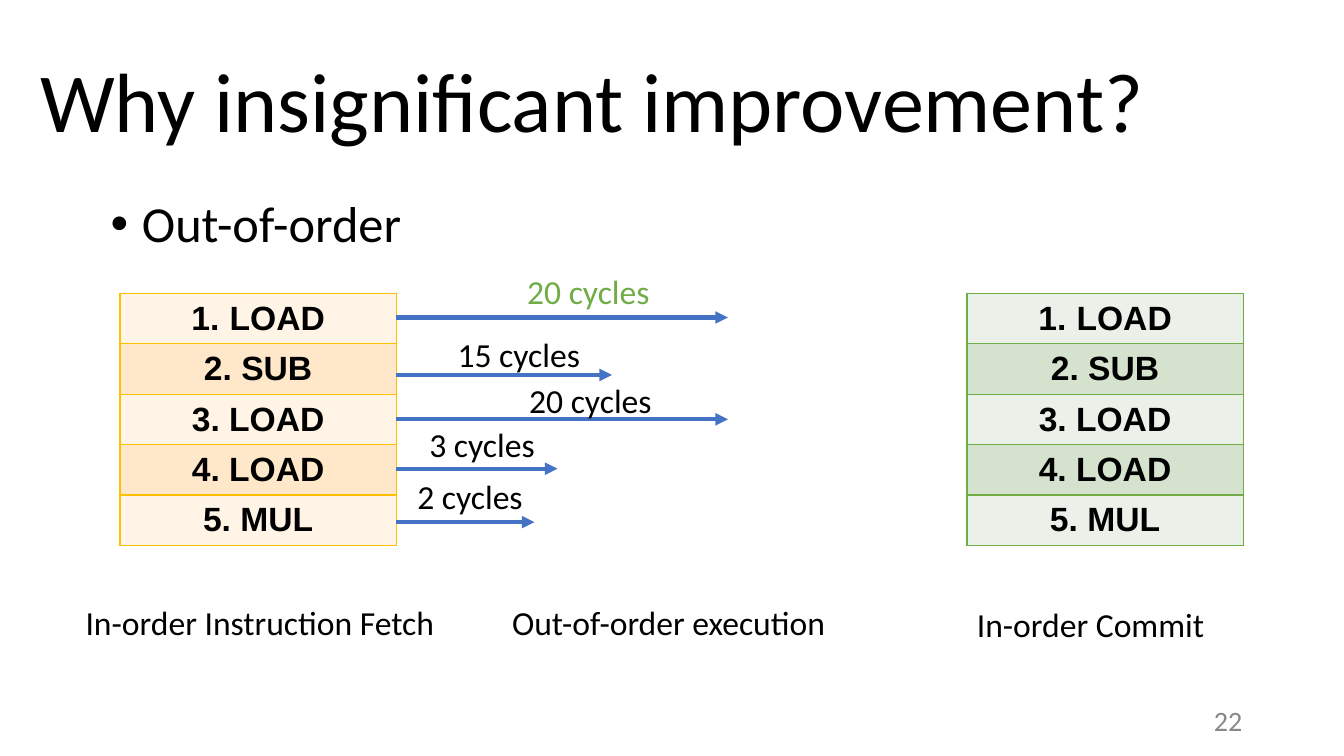
import pptx
import pptx.dml.color
import pptx.enum.shapes
import pptx.enum.text
import pptx.oxml
import pptx.oxml.ns
import pptx.util
from lxml import etree

RGBColor = pptx.dml.color.RGBColor
Inches = pptx.util.Inches
ALIGN = pptx.enum.text.PP_ALIGN
ANCHOR = pptx.enum.text.MSO_ANCHOR

BLACK = RGBColor(0x00, 0x00, 0x00)
GRAY = RGBColor(0x88, 0x88, 0x88)
BLUE = RGBColor(0x44, 0x72, 0xC4)
GREEN = RGBColor(0x70, 0xAD, 0x47)
AMBER = RGBColor(0xFF, 0xC0, 0x00)
CREAM = RGBColor(0xFF, 0xF4, 0xE6)
PEACH = RGBColor(0xFF, 0xE8, 0xCA)
MINT = RGBColor(0xEB, 0xF1, 0xE8)
SAGE = RGBColor(0xD4, 0xE2, 0xCE)

TITLE = "Why insignificant improvement?"
TOPIC = "Out-of-order"
PAGE = "22"
INSTRUCTIONS = ["LOAD", "2. SUB", "3. LOAD", "4. LOAD", "5. MUL"]
STAGES = [
    ("In-order Instruction Fetch", 0.75, 5.92, 4.05),
    ("Out-of-order execution", 4.98, 5.92, 4.05),
    ("In-order Commit", 9.59, 5.94, 2.74),
]
EXECUTIONS = [
    ("20 cycles", GREEN, 5.13, 2.64, 3.15, 7.22),
    ("15 cycles", BLACK, 4.44, 3.26, 3.72, 6.07),
    ("20 cycles", BLACK, 5.15, 3.72, 4.16, 7.22),
    ("3 cycles", BLACK, 4.16, 4.16, 4.65, 5.53),
    ("2 cycles", BLACK, 4.04, 4.67, 5.18, 5.3),
]
QUEUES = [
    (1.19, AMBER, (CREAM, PEACH)),
    (9.59, GREEN, (MINT, SAGE)),
]
QUEUE_TOP, QUEUE_WIDTH, ROW_HEIGHT = 2.91, 2.74, 0.47
ARROW_START = QUEUES[0][0] + QUEUE_WIDTH
LABEL_WIDTH, LABEL_HEIGHT = 1.75, 0.5


def xml(markup):
    tag, rest = markup[1:].split(" ", 1)
    return pptx.oxml.parse_xml(f"<{tag} {pptx.oxml.ns.nsdecls('a')} {rest}")


def write(paragraph, text, size, color=BLACK, font="Calibri", bold=False):
    run = paragraph.add_run()
    run.text = text
    run.font.size = pptx.util.Pt(size)
    run.font.name = font
    run.font.bold = bold
    run.font.color.rgb = color


def add_text(text, left, top, width, height, size=24, color=BLACK,
             anchor=ANCHOR.TOP, align=ALIGN.LEFT):
    frame = slide.shapes.add_textbox(*map(Inches, (left, top, width, height))).text_frame
    frame.word_wrap = True
    frame.vertical_anchor = anchor
    paragraph = frame.paragraphs[0]
    paragraph.alignment = align
    write(paragraph, text, size, color)
    return paragraph


def add_bullet(paragraph, indent, *marks):
    properties = paragraph._p.get_or_add_pPr()
    properties.set("marL", str(Inches(indent)))
    properties.set("indent", str(Inches(-indent)))
    for mark in marks:
        properties.append(xml(mark))


def add_queue(left, border, bands):
    table = slide.shapes.add_table(
        len(INSTRUCTIONS), 1, Inches(left), Inches(QUEUE_TOP), Inches(QUEUE_WIDTH),
        Inches(ROW_HEIGHT * len(INSTRUCTIONS))).table
    table.first_row = table.horz_banding = False
    for index, instruction in enumerate(INSTRUCTIONS):
        cell = table.cell(index, 0)
        cell.vertical_anchor = ANCHOR.MIDDLE
        for side in "LRTB":
            cell._tc.get_or_add_tcPr().append(xml(
                f'<a:ln{side} w="12700"><a:solidFill><a:srgbClr val="{border}"/>'
                f'</a:solidFill></a:ln{side}>'))
        cell.fill.solid()
        cell.fill.fore_color.rgb = bands[index % 2]
        paragraph = cell.text_frame.paragraphs[0]
        paragraph.alignment = ALIGN.CENTER
        if index == 0:
            add_bullet(paragraph, 0.38, '<a:buFont typeface="+mj-lt"/>',
                       '<a:buAutoNum type="arabicPeriod"/>')
        write(paragraph, instruction, 24, font="Arial", bold=True)


def add_arrow(end, y):
    arrow = slide.shapes.add_connector(
        pptx.enum.shapes.MSO_CONNECTOR.STRAIGHT,
        *map(Inches, (ARROW_START, y, end, y)))
    arrow.line.color.rgb = BLUE
    arrow.line.width = pptx.util.Pt(3)
    arrow.line._get_or_add_ln().append(xml('<a:tailEnd type="triangle"/>'))
    etree.SubElement(arrow._element.spPr, pptx.oxml.ns.qn("a:effectLst"))


deck = pptx.Presentation()
deck.slide_width, deck.slide_height = Inches(13.33), Inches(7.5)
slide = deck.slides.add_slide(deck.slide_layouts[6])

title = add_text(TITLE, 0.3, 0.26, 12.44, 1.57, 60, anchor=ANCHOR.MIDDLE)
title.line_spacing = 0.9
topic = add_text(TOPIC, 1, 1.48, 11.33, 1.16, 36, anchor=ANCHOR.MIDDLE)
topic.line_spacing = 1.5
add_bullet(topic, 0.31, '<a:buFont typeface="Arial"/>', '<a:buChar char="•"/>')

for queue in QUEUES:
    add_queue(*queue)
for cycles, color, left, top, arrow_y, arrow_end in EXECUTIONS:
    add_arrow(arrow_end, arrow_y)
    add_text(cycles, left, top, LABEL_WIDTH, LABEL_HEIGHT, color=color)
for stage, left, top, width in STAGES:
    add_text(stage, left, top, width, LABEL_HEIGHT)
add_text(PAGE, 9.42, 6.95, 3, 0.4, 20, GRAY, ANCHOR.MIDDLE, ALIGN.RIGHT)

deck.save("out.pptx")
